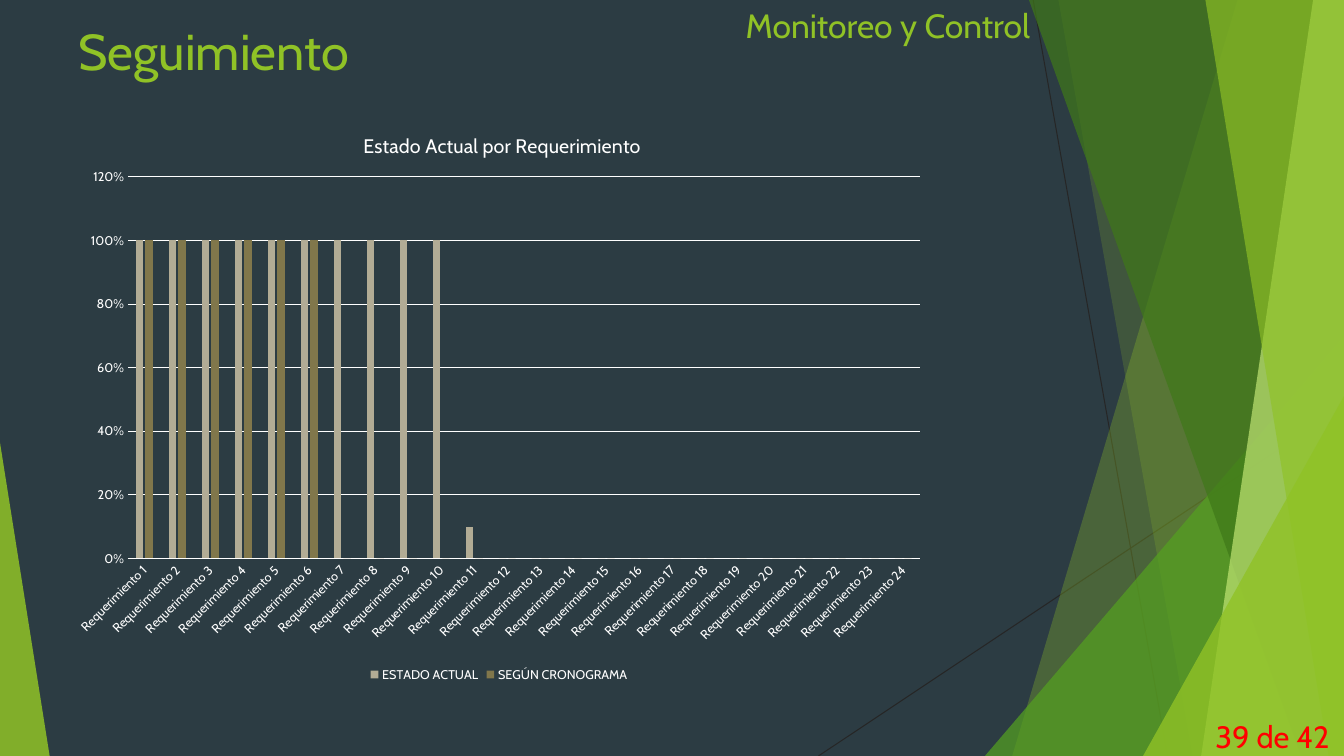
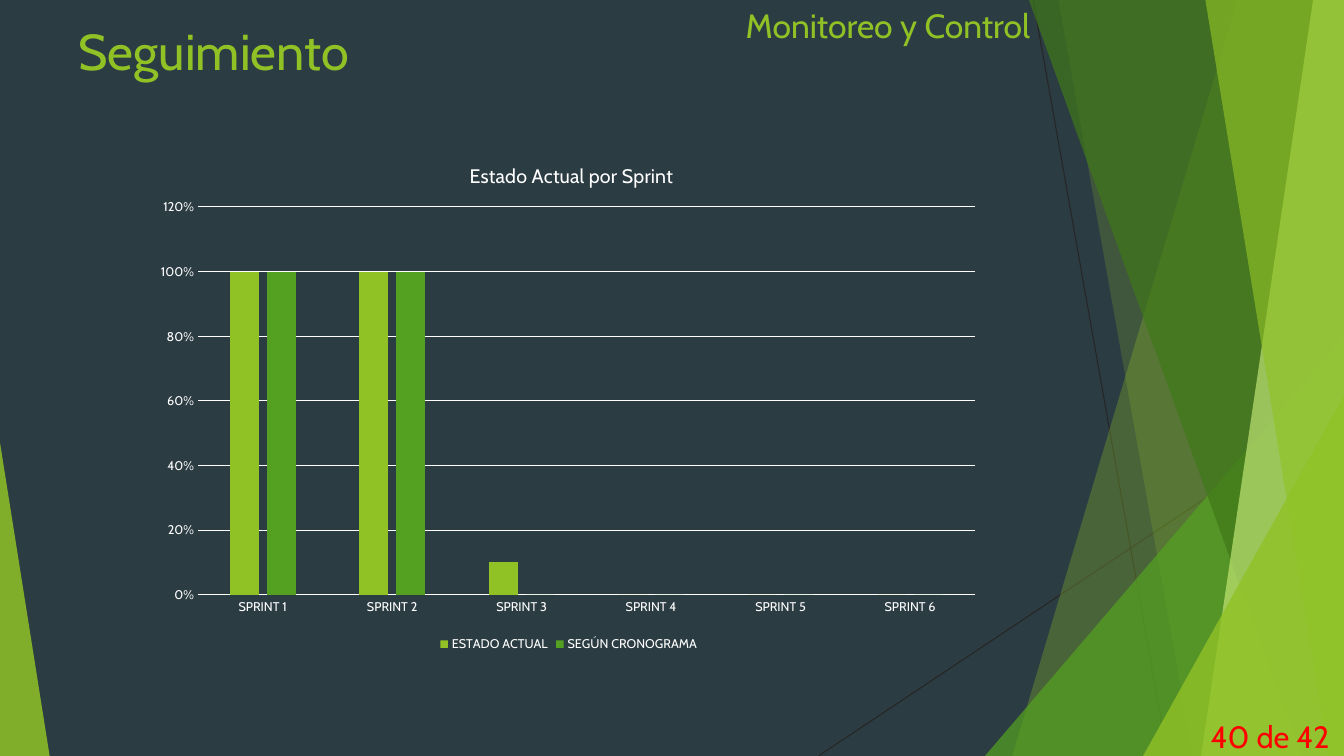
from dataclasses import dataclass

from lxml.etree import SubElement
from pptx import Presentation
from pptx.chart.data import CategoryChartData
from pptx.dml.color import RGBColor
from pptx.enum.chart import XL_CHART_TYPE as ChartType
from pptx.enum.chart import XL_LEGEND_POSITION as LegendPosition
from pptx.enum.chart import XL_TICK_MARK as TickMark
from pptx.enum.shapes import MSO_CONNECTOR as Connector
from pptx.enum.shapes import MSO_SHAPE as Shape
from pptx.enum.text import MSO_ANCHOR as Anchor
from pptx.enum.text import PP_ALIGN as Align
from pptx.oxml import parse_xml
from pptx.oxml.ns import nsdecls, qn
from pptx.util import Pt


@dataclass(frozen=True)
class Theme:
    font: str = "Cabin"
    background: str = "2C3C43"
    lime: str = "90C226"
    green: str = "54A021"
    forest: str = "3F7819"
    pale: str = "C0E474"
    sand: str = "B2AC95"
    olive: str = "81774B"
    white: str = "FFFFFF"
    red: str = "FF0000"
    thin_line: str = "262626"
    hairline: float = 0.75
    title_size: int = 36
    section_size: int = 24
    number_size: int = 22
    chart_title_size: int = 14
    chart_size: int = 10
    axis_size: int = 9


THEME = Theme()
WIDTH, HEIGHT = 960, 540

# Content: areas are left, top, width, height
TITLE = "Seguimiento"
SECTION = "Monitoreo y Control"
LAST_PAGE = 42
SERIES_NAMES = ("ESTADO ACTUAL", "SEGÚN CRONOGRAMA")
PAGES = [
    {
        "number": 39,
        "chart_title": "Estado Actual por Requerimiento",
        "categories": [f"Requerimiento {n}" for n in range(1, 25)],
        "values": ([1] * 10 + [0.1] + [0] * 13, [1] * 6 + [0] * 18),
        "colors": (THEME.sand, THEME.olive),
        "area": (43.2, 76.3, 626.4, 414),
        "plot": (91.4, 126.4, 565.7, 272.5),
        "title_at": (257, 92),
        "label_angle": -45,
    },
    {
        "number": 40,
        "chart_title": "Estado Actual por Sprint",
        "categories": [f"SPRINT {n}" for n in range(1, 7)],
        "values": ([1, 1, 0.1, 0, 0, 0], [1, 1, 0, 0, 0, 0]),
        "colors": (THEME.lime, THEME.green),
        "area": (103, 98.6, 606.2, 370.1),
        "plot": (141.4, 147.9, 555, 277.1),
        "title_at": (333, 113.5),
        "label_angle": 0,
    },
]

# Decoration, back to front
LINES = [((738, 0), (834, HEIGHT)), ((WIDTH, 290), (584.6, HEIGHT))]
# Bands run from the top edge to the bottom edge, closed by the right side:
# ("band", top x, bottom x, colour, opacity)
# Wedges are right triangles on the bottom edge:
# ("wedge", left, top, width, apex, colour, opacity)
FACETS = [
    ("band", 884, 723, THEME.lime, 30),
    ("band", 756, 852, THEME.lime, 20),
    ("wedge", 703.5, 240, 256.5, 1, THEME.green, 72),
    ("band", 735, 929.5, THEME.forest, 70),
    ("band", 938, 858, THEME.pale, 70),
    ("band", 861, 949, THEME.lime, 65),
    ("wedge", 816.5, 283, 143.5, 1, THEME.lime, 80),
    ("wedge", 0, 316, 35.5, 0, THEME.lime, 85),
]


def rgb(color):
    return RGBColor.from_string(color)


def points(values):
    return [Pt(value) for value in values]


def style_font(font, size, color):
    font.name, font.size = THEME.font, Pt(size)
    font.color.rgb = rgb(color)


def style_line(line, color):
    line.color.rgb = rgb(color)
    line.width = Pt(THEME.hairline)


# Shared parts
def add_band(page, top_x, bottom_x):
    outline = page.shapes.build_freeform(Pt(top_x), 0, scale=1.0)
    corners = [(WIDTH, 0), (WIDTH, HEIGHT), (bottom_x, HEIGHT)]
    outline.add_line_segments([points(corner) for corner in corners], close=True)
    return outline.convert_to_shape()


def add_wedge(page, left, top, width, apex):
    wedge = page.shapes.add_shape(
        Shape.ISOSCELES_TRIANGLE, *points((left, top, width, HEIGHT - top)))
    wedge.adjustments[0] = apex
    return wedge


def add_decoration(page):
    for start, end in LINES:
        line = page.shapes.add_connector(
            Connector.STRAIGHT, *points(start + end))
        style_line(line.line, THEME.thin_line)
        SubElement(line.element.spPr, qn("a:effectLst"))
    builders = {"band": add_band, "wedge": add_wedge}
    for kind, *geometry, color, opacity in FACETS:
        facet = builders[kind](page, *geometry)
        facet.shadow.inherit = False
        facet.line.fill.background()
        facet.fill.solid()
        facet.fill.fore_color.rgb = rgb(color)
        tint = facet.element.spPr.find(f"{qn('a:solidFill')}/{qn('a:srgbClr')}")
        SubElement(tint, qn("a:alpha")).set("val", str(opacity * 1000))


def add_text(page, text, area, size, color, align=Align.LEFT, anchor=Anchor.TOP):
    box = page.shapes.add_textbox(*points(area))
    frame = box.text_frame
    frame.word_wrap = True
    frame.vertical_anchor = anchor
    para = frame.paragraphs[0]
    para.alignment = align
    span = para.add_run()
    span.text = text
    style_font(span.font, size, color)


# Chart
def place(parent, index, area, position, size=(), inner=False):
    """Fix a chart part at slide coordinates, as fractions of the chart area."""
    for old in parent.findall(qn("c:layout")):
        parent.remove(old)
    left, top, width, height = area
    x, y = position
    fractions = [("x", (x - left) / width), ("y", (y - top) / height)]
    if size:
        fractions += [("w", size[0] / width), ("h", size[1] / height)]
    target = '<c:layoutTarget val="inner"/>' if inner else ""
    modes = '<c:xMode val="edge"/><c:yMode val="edge"/>'
    parts = "".join(f'<c:{tag} val="{value:.4f}"/>' for tag, value in fractions)
    parent.insert(index, parse_xml(
        f'<c:layout {nsdecls("c")}><c:manualLayout>{target}{modes}{parts}'
        "</c:manualLayout></c:layout>"))


def add_status_chart(page, content):
    data = CategoryChartData(number_format="0%")
    data.categories = content["categories"]
    for name, values in zip(SERIES_NAMES, content["values"]):
        data.add_series(name, values)
    area = content["area"]
    chart = page.shapes.add_chart(
        ChartType.COLUMN_CLUSTERED, *points(area), data).chart
    style_font(chart.font, THEME.chart_size, THEME.white)

    # Title and legend
    chart.has_title = True
    span = chart.chart_title.text_frame.paragraphs[0].add_run()
    span.text = content["chart_title"]
    style_font(span.font, THEME.chart_title_size, THEME.white)
    span.font.bold = False
    place(chart.chart_title.element, 1, area, content["title_at"])
    chart.has_legend = True
    chart.legend.position = LegendPosition.BOTTOM
    chart.legend.include_in_layout = False
    style_font(chart.legend.font, THEME.axis_size, THEME.white)

    # Columns
    plot = chart.plots[0]
    plot.gap_width, plot.overlap = 219, -27
    plot.vary_by_categories = False
    for series, color in zip(plot.series, content["colors"]):
        series.format.fill.solid()
        series.format.fill.fore_color.rgb = rgb(color)
    plot_area = chart.element.find(f".//{qn('c:plotArea')}")
    x, y, width, height = content["plot"]
    place(plot_area, 0, area, (x, y), (width, height), inner=True)

    # Axes
    for axis in (chart.category_axis, chart.value_axis):
        axis.major_tick_mark = axis.minor_tick_mark = TickMark.NONE
        style_font(axis.tick_labels.font, THEME.axis_size, THEME.white)
    style_line(chart.category_axis.format.line, THEME.white)
    scale = chart.value_axis
    scale.minimum_scale, scale.maximum_scale, scale.major_unit = 0, 1.2, 0.2
    scale.tick_labels.number_format = "0%"
    scale.tick_labels.number_format_is_linked = False
    scale.format.line.fill.background()
    scale.has_major_gridlines = True
    style_line(scale.major_gridlines.format.line, THEME.white)
    if content["label_angle"]:
        label_body = plot_area.find(
            f"{qn('c:catAx')}/{qn('c:txPr')}/{qn('a:bodyPr')}")
        label_body.set("rot", str(content["label_angle"] * 60000))
        label_body.set("vert", "horz")


def add_page(deck, content):
    page = deck.slides.add_slide(deck.slide_layouts[6])
    add_decoration(page)
    add_text(page, TITLE, (49, 10.8, 676.8, 65.5), THEME.title_size, THEME.lime)
    add_text(page, f"{content['number']} de {LAST_PAGE}", (847.4, 511.2, 109.4, 28.8),
             THEME.number_size, THEME.red, Align.RIGHT, Anchor.MIDDLE)
    add_text(page, SECTION, (525.6, 0, 232.6, 36), THEME.section_size, THEME.lime)
    add_status_chart(page, content)


def main():
    deck = Presentation()
    deck.slide_width, deck.slide_height = Pt(WIDTH), Pt(HEIGHT)
    backdrop = deck.slide_master.background.fill
    backdrop.solid()
    backdrop.fore_color.rgb = rgb(THEME.background)
    for content in PAGES:
        add_page(deck, content)
    deck.save("out.pptx")


if __name__ == "__main__":
    main()
